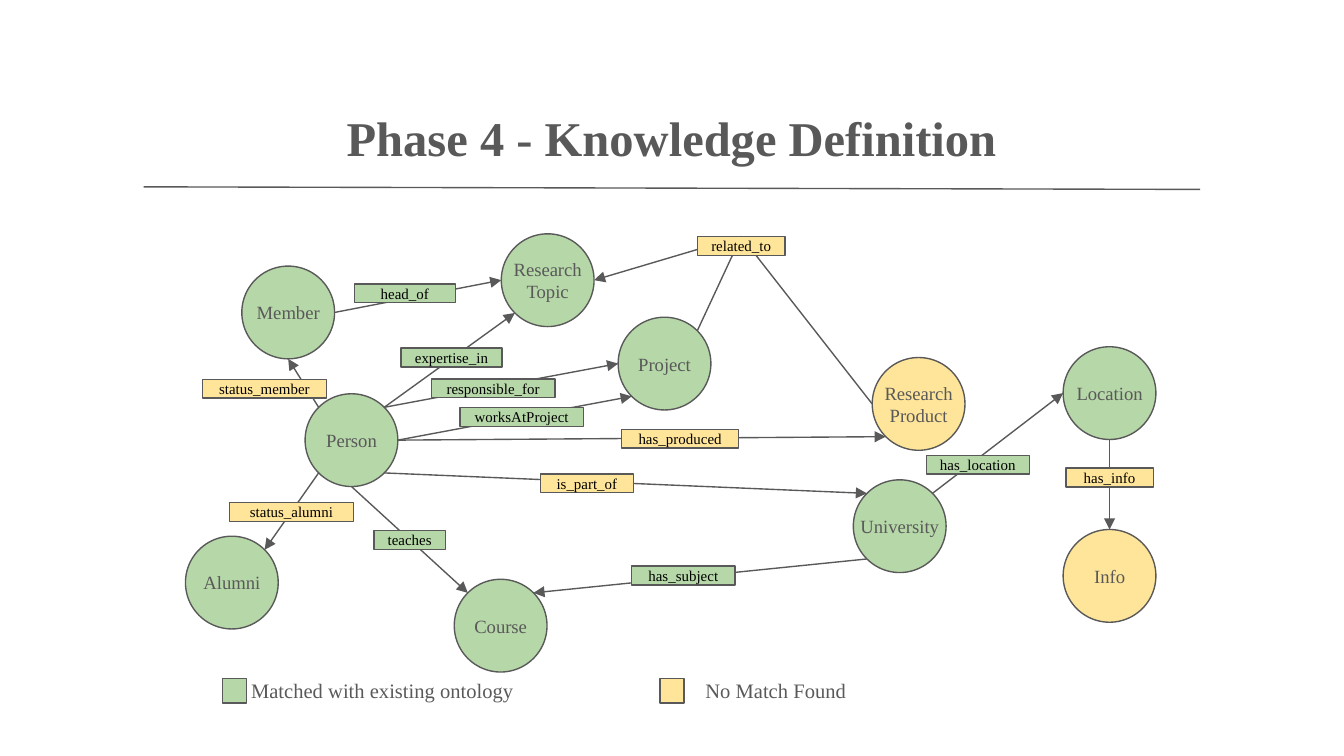
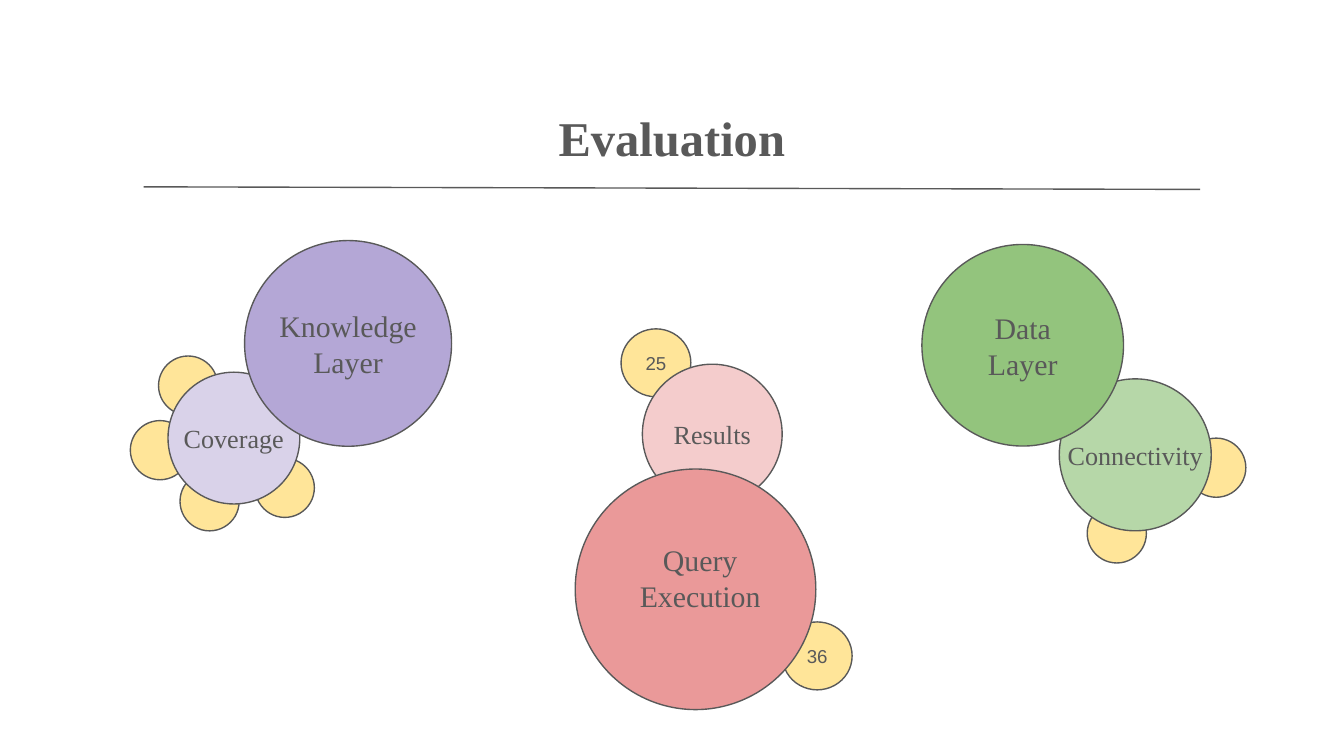
from dataclasses import dataclass
from math import sqrt

from lxml.etree import SubElement
from pptx import Presentation
from pptx.dml.color import RGBColor as RGB
from pptx.enum.shapes import MSO_CONNECTOR as CONN, MSO_SHAPE as SHAPE
from pptx.enum.text import MSO_ANCHOR as ANCHOR, PP_ALIGN as ALIGN
from pptx.oxml.ns import qn
from pptx.util import Pt


@dataclass(frozen=True)
class Theme:
    serif: str = "Times New Roman"
    sans: str = "Arial"
    ink: str = "595959"
    black: str = "000000"
    green: str = "B6D7A8"
    deep_green: str = "93C47D"
    yellow: str = "FFE599"
    lilac: str = "D9D2E9"
    purple: str = "B4A7D6"
    pink: str = "F4CCCC"
    red: str = "EA9999"
    title: float = 26
    layer: float = 16
    measure: float = 14
    legend: float = 11
    node: float = 10
    tag: float = 8
    line: float = 0.75
    inset: float = 7.2


T = Theme()

# Ontology graph: node centres, in points
NODE_D = 49.7
NODES = {
    "Member": (154.4, 167.4, T.green),
    "Person": (188.3, 235.8, T.green),
    "Alumni": (124.2, 312.1, T.green),
    "Research Topic": (293.4, 150.1, T.green),
    "University": (482, 281.9, T.green),
    "Course": (268.2, 335.2, T.green),
    "Research Product": (492.1, 216.4, T.yellow),
    "Location": (594.4, 210.6, T.green),
    "Project": (356, 194.8, T.green),
    "Info": (594.4, 308.5, T.yellow),
}

# Points on a node's rim, as directions from its centre
D = sqrt(0.5)
RIM = {
    "top": (0, -1), "bottom": (0, 1), "left": (-1, 0), "right": (1, 0),
    "top left": (-D, -D), "top right": (D, -D),
    "bottom left": (-D, D), "bottom right": (D, D),
}

# Arrows: from node and rim point, to node and rim point
EDGES = [
    ("Person", "top left", "Member", "bottom"),
    ("Person", "bottom left", "Alumni", "top right"),
    ("University", "top right", "Location", "left"),
    ("Location", "bottom", "Info", "top"),
    ("Person", "top right", "Research Topic", "bottom left"),
    ("Person", "right", "Research Product", "bottom left"),
    ("University", "bottom left", "Course", "top right"),
    ("Member", "right", "Research Topic", "left"),
    ("Person", "bottom right", "University", "top left"),
    ("Project", "top right", "related_to", "top"),
    ("related_to", "top", "Research Topic", "right"),
    ("Research Product", "left", "related_to", "top"),
    ("Person", "top right", "Project", "left"),
    ("Person", "right", "Project", "bottom left"),
    ("Person", "bottom", "Course", "top left"),
]

# Relation tags: left, top, width, colour
TAG_H = 10.1
TAGS = {
    "related_to": (373.7, 126.7, 46.8, T.yellow),
    "expertise_in": (214.9, 186.5, 54, T.green),
    "has_info": (571, 250.8, 46.8, T.yellow),
    "has_location": (496.2, 243.9, 55.4, T.green),
    "has_produced": (333.1, 230, 62.6, T.yellow),
    "has_subject": (338.4, 303.3, 55.4, T.green),
    "head_of": (189.9, 152.1, 54, T.green),
    "is_part_of": (289.6, 253.9, 49.7, T.yellow),
    "responsible_for": (231.1, 203, 66.2, T.green),
    "status_member": (108.6, 203.2, 66.2, T.yellow),
    "status_alumni": (123.1, 269.2, 66.2, T.yellow),
    "teaches": (200.4, 284.2, 38.2, T.green),
    "worksAtProject": (246.4, 218.3, 66.2, T.green),
}

# Evaluation bubbles: centre, width, height, colour
DOT_D = 31.7
DOTS = [(598.3, 285.8), (651.6, 250.6), (100.8, 206.6),
        (85.7, 241.2), (112.3, 268.6), (152.6, 261.4)]
COUNTS = [("25", 351.4, 194.4), ("36", 437.8, 351.4)]
BUBBLES = [
    ("Coverage", 125.3, 234.7, 70.6, 70.6, T.lilac, T.measure),
    ("Connectivity", 608.2, 243.7, 81.4, 81.4, T.green, T.measure),
    ("Results", 381.6, 232.6, 74.9, 74.9, T.pink, T.measure),
    ("Data\nLayer", 547.9, 185, 108, 108, T.deep_green, T.layer),
    ("Knowledge\nLayer", 186.5, 184, 110.9, 110.2, T.purple, T.layer),
    ("Query\nExecution", 372.6, 315.7, 128.9, 128.9, T.red, T.layer),
]
LABEL_SHIFT = {"Query\nExecution": (2.5, -6.1)}


def write(sp, text, size, color=T.ink, font=T.serif, bold=False,
          align=ALIGN.CENTER, anchor=ANCHOR.MIDDLE):
    tf = sp.text_frame
    tf.text = text
    tf.word_wrap = True
    tf.vertical_anchor = anchor
    tf.margin_left = tf.margin_right = Pt(T.inset)
    tf.margin_top = tf.margin_bottom = Pt(T.inset)
    for p in tf.paragraphs:
        p.alignment = align
        for r in p.runs:
            r.font.size = Pt(size)
            r.font.name = font
            r.font.bold = bold
            r.font.color.rgb = RGB.from_string(color)


def add_box(slide, kind, left, top, width, height, fill):
    sp = slide.shapes.add_shape(kind, Pt(left), Pt(top), Pt(width), Pt(height))
    sp.shadow.inherit = False
    sp.fill.solid()
    sp.fill.fore_color.rgb = RGB.from_string(fill)
    sp.line.color.rgb = RGB.from_string(T.ink)
    sp.line.width = Pt(T.line)
    return sp


def add_circle(slide, x, y, width, height, fill):
    return add_box(slide, SHAPE.OVAL, x - width / 2, y - height / 2,
                   width, height, fill)


def add_text(slide, left, top, width, height, text, size, **style):
    sp = slide.shapes.add_textbox(Pt(left), Pt(top), Pt(width), Pt(height))
    write(sp, text, size, **style)


def add_label(slide, x, y, width, height, text, size):
    add_text(slide, x - width / 2, y - height / 2, width, height, text, size)


def add_line(slide, start, end, arrow=False):
    c = slide.shapes.add_connector(CONN.STRAIGHT, *map(Pt, start + end))
    c.line.color.rgb = RGB.from_string(T.ink)
    c.line.width = Pt(T.line)
    sp_pr = c._element.spPr
    if arrow:
        SubElement(sp_pr.find(qn("a:ln")), qn("a:tailEnd"), type="triangle")
    SubElement(sp_pr, qn("a:effectLst"))
    return c


def add_titled_slide(prs, title):
    slide = prs.slides.add_slide(prs.slide_layouts[5])
    sp = slide.shapes.title
    sp.left, sp.top, sp.width, sp.height = map(Pt, (0, 50.4, 720, 46.1))
    write(sp, title, T.title, bold=True)
    add_line(slide, (77, 100.1), (643, 101.5))
    return slide


def end_point(name, side):
    if name in TAGS:
        left, top, width, _ = TAGS[name]
        return left + width / 2, top
    x, y, _ = NODES[name]
    dx, dy = RIM[side]
    return x + dx * NODE_D / 2, y + dy * NODE_D / 2


def add_edge(slide, tags, source, source_side, target, target_side):
    c = add_line(slide, end_point(source, source_side),
                 end_point(target, target_side), arrow=True)
    if source in tags:
        c.begin_connect(tags[source], 0)
    if target in tags:
        c.end_connect(tags[target], 0)


def add_legend(slide, left, text_left, width, fill, text):
    add_box(slide, SHAPE.RECTANGLE, left, 363.6, 13, 13, fill)
    add_text(slide, text_left, 356.4, width, 28.1, text, T.legend,
             align=ALIGN.LEFT, anchor=ANCHOR.TOP)


def build_knowledge(prs):
    slide = add_titled_slide(prs, "Phase 4 - Knowledge Definition")
    for name, (x, y, fill) in NODES.items():
        add_circle(slide, x, y, NODE_D, NODE_D, fill)
        add_label(slide, x, y, 62, 23.8, name, T.node)

    tags = {}
    for name, (left, top, width, fill) in TAGS.items():
        tags[name] = add_box(slide, SHAPE.RECTANGLE, left, top, width, TAG_H, fill)
        write(tags[name], name, T.tag, color=T.black)
    for edge in EDGES:
        add_edge(slide, tags, *edge)
    # Tags lie over the arrows
    for sp in tags.values():
        slide.shapes.element.append(sp._element)

    add_legend(slide, 119.2, 127.4, 159.8, T.green, "Matched with existing ontology")
    add_legend(slide, 353.5, 370.8, 112.3, T.yellow, "No Match Found")


def build_evaluation(prs):
    slide = add_titled_slide(prs, "Evaluation")
    # Small yellow bubbles at the back
    for text, x, y in COUNTS:
        sp = add_circle(slide, x, y, 37.4, 36.4, T.yellow)
        write(sp, text, T.node, font=T.sans)
    for x, y in DOTS:
        add_circle(slide, x, y, DOT_D, DOT_D, T.yellow)
    # Measures, then the layers that overlap them
    for text, x, y, width, height, fill, size in BUBBLES:
        add_circle(slide, x, y, width, height, fill)
        dx, dy = LABEL_SHIFT.get(text, (0, 0))
        add_label(slide, x + dx, y + dy, max(width, 96.5), 36, text, size)


def main():
    prs = Presentation()
    prs.slide_width, prs.slide_height = Pt(720), Pt(405)
    build_knowledge(prs)
    build_evaluation(prs)
    prs.save("out.pptx")


if __name__ == "__main__":
    main()
